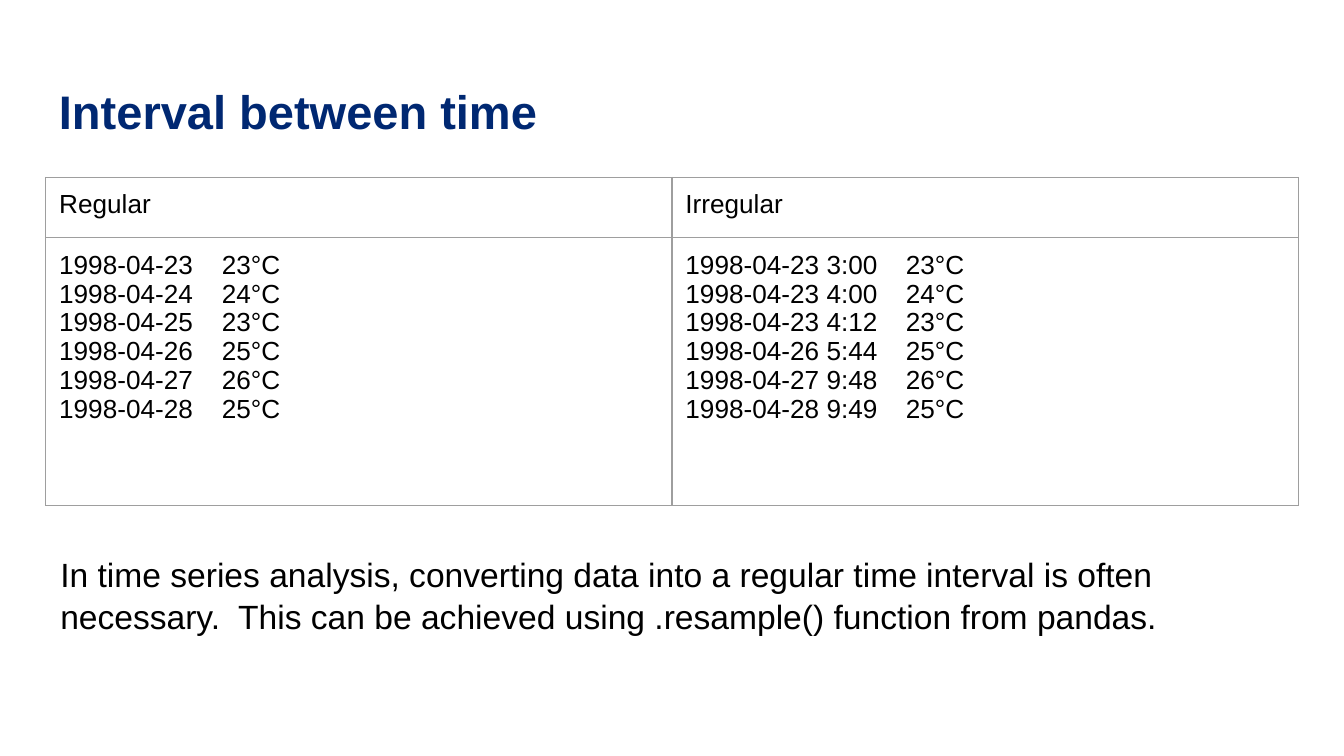
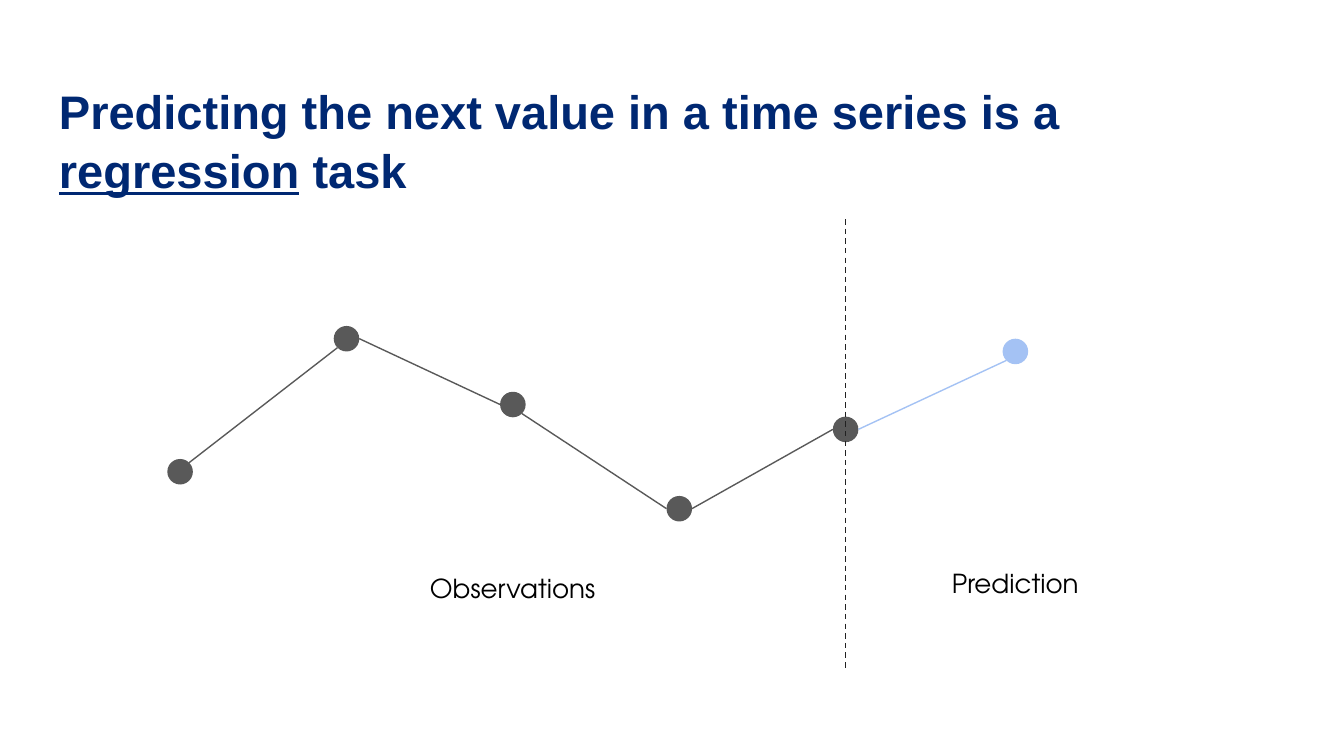
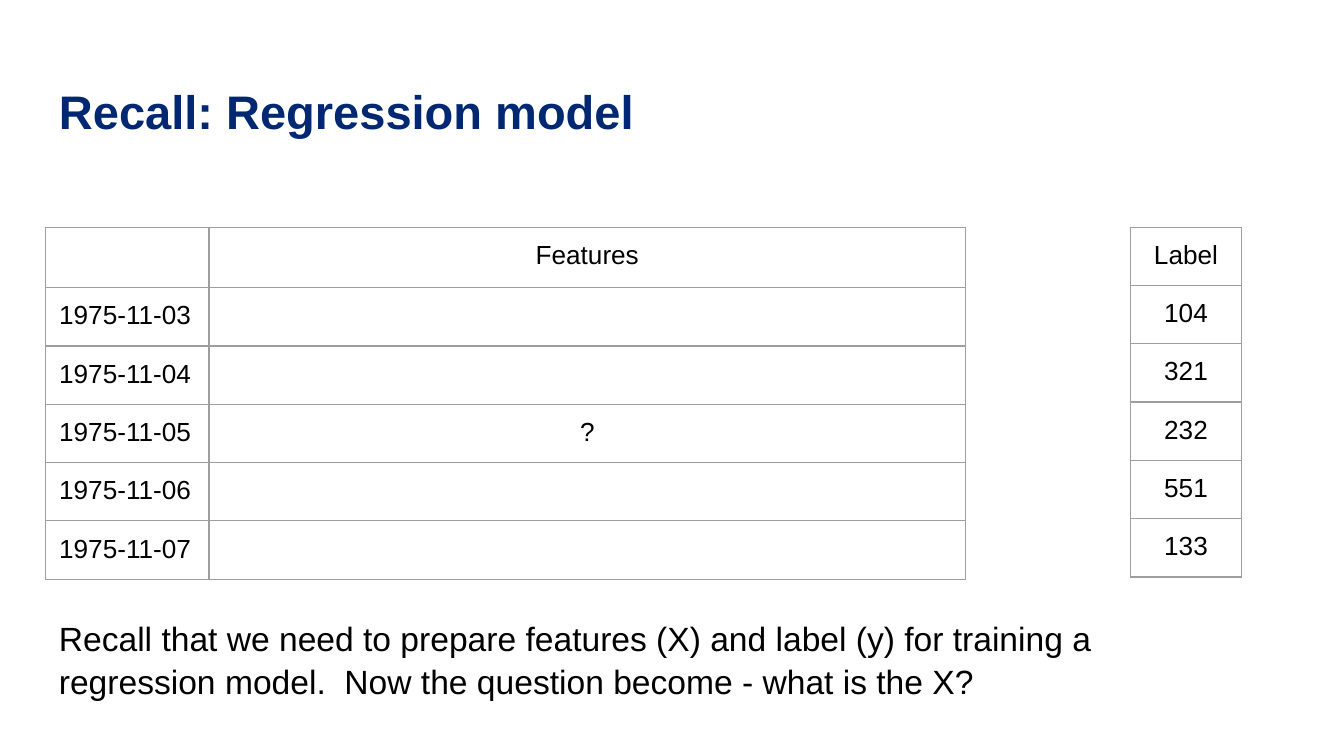
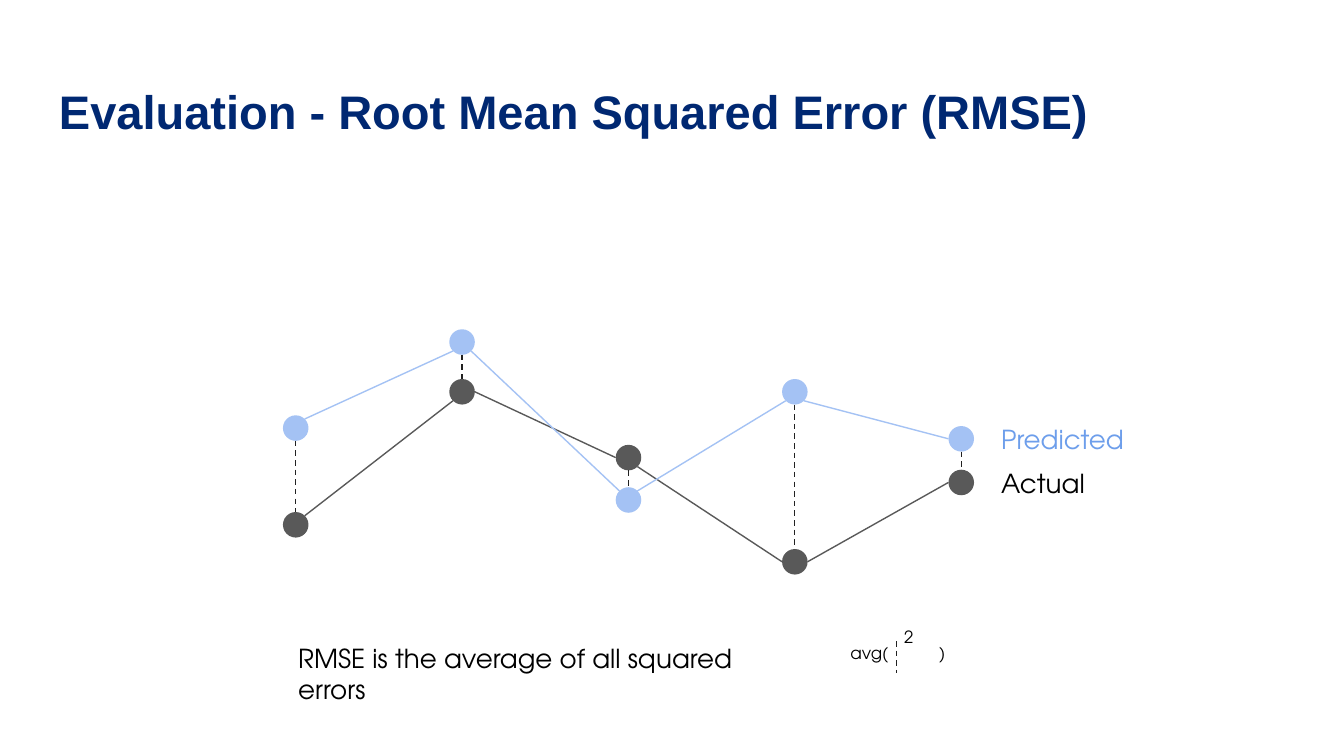
import math

from lxml import etree
from pptx import Presentation
from pptx import util as u
from pptx.dml.color import RGBColor
from pptx.enum import dml, shapes, text
from pptx.oxml import ns

# Slide grid: 100 columns, square cells of a tenth of an inch
COLS, ROWS = 100, 56.25
CELL = u.Inches(0.1)
PAD = 1
LEFT, FULL = 3.4, 93.2

NAVY = RGBColor(0x00, 0x28, 0x72)
BLACK = RGBColor(0x00, 0x00, 0x00)
GRAY = RGBColor(0x59, 0x59, 0x59)
DARK = RGBColor(0x21, 0x21, 0x21)
BLUE = RGBColor(0xA4, 0xC2, 0xF4)
BLUE_TEXT = RGBColor(0x6D, 0x9E, 0xEB)
BORDER = RGBColor(0x9E, 0x9E, 0x9E)

SANS, ROUND = "Arial", "TeX Gyre Adventor"
CENTER = text.PP_ALIGN.CENTER

# Time series: dot size, step between dots, shared levels of the observations
DOT, STEP = 1.9, 12.38
OBSERVED = [9.9, 0, 4.9, 12.65, 6.75]
# Angles at which a line meets a dot, clockwise from the right
E, SE, S, SW, W, NW, N, NE = range(0, 360, 45)
OBSERVED_JOINS = [(NE, SW), (E, W), (SE, W), (E, W)]


def grid(n):
    return u.Emu(round(n * CELL))


def sub(parent, tag, **attrs):
    return etree.SubElement(parent, ns.qn(tag), attrs)


def write(tf, content, size=14, font=SANS, color=BLACK, bold=False,
          align=None, spacing=None, tab=None, underline=None):
    """Fill a text frame, one paragraph a line."""
    for i, line in enumerate(content.split("\n")):
        p = tf.paragraphs[0] if i == 0 else tf.add_paragraph()
        p.alignment = align
        p.line_spacing = spacing
        if tab:
            tabs = sub(p._p.get_or_add_pPr(), "a:tabLst")
            sub(tabs, "a:tab", pos=str(grid(tab)), algn="l")
        if not line:
            sub(p._p, "a:endParaRPr", sz=str(size * 100))
        for part in line.partition(underline) if underline else [line]:
            if not part:
                continue
            r = p.add_run()
            r.text = part
            r.font.size, r.font.name, r.font.bold = u.Pt(size), font, bold
            r.font.color.rgb = color
            if part == underline:
                r.font.underline = True


def add_text(slide, box, content, **fmt):
    tf = slide.shapes.add_textbox(*map(grid, box)).text_frame
    tf.word_wrap = True
    tf.margin_left = tf.margin_right = grid(PAD)
    tf.margin_top = tf.margin_bottom = grid(PAD)
    write(tf, content, **fmt)


def add_title(slide, content, **fmt):
    add_text(slide, (LEFT, 4.9, FULL, 6.3), content, size=25.2, color=NAVY,
             bold=True, spacing=1.05, **fmt)


def add_body(slide, box, content):
    add_text(slide, box, content, size=18, spacing=1.06)


def add_label(slide, box, content, size=14, **fmt):
    add_text(slide, box, content, size=size, font=ROUND, **fmt)


def add_line(slide, start, end, color, dashed=False):
    line = slide.shapes.add_connector(shapes.MSO_CONNECTOR.STRAIGHT,
                                      *map(grid, (*start, *end)))
    line.line.color.rgb = color
    line.line.width = u.Pt(0.75)
    if dashed:
        line.line.dash_style = dml.MSO_LINE.DASH
    sub(line._element.spPr, "a:effectLst")


def add_dot(slide, dot, color):
    sp = slide.shapes.add_shape(shapes.MSO_SHAPE.OVAL,
                                *map(grid, (*dot, DOT, DOT)))
    sp.shadow.inherit = False
    sp.fill.solid()
    sp.fill.fore_color.rgb = color
    sp.line.fill.background()


def on_rim(dot, angle):
    """Point on the rim of a dot given by its left and top."""
    a = math.radians(angle)
    return (dot[0] + DOT / 2 * (1 + math.cos(a)),
            dot[1] + DOT / 2 * (1 + math.sin(a)))


def join_dots(slide, first, second, angles, color, dashed=False):
    add_line(slide, on_rim(first, angles[0]), on_rim(second, angles[1]),
             color, dashed)


def add_series(slide, left, top, levels, joins, color):
    """Draw dots at equal steps, joined in turn; return their corners."""
    dots = [(left + i * STEP, top + y) for i, y in enumerate(levels)]
    for dot in dots:
        add_dot(slide, dot, color)
    for first, second, angles in zip(dots, dots[1:], joins):
        join_dots(slide, first, second, angles, color)
    return dots


def set_borders(cell):
    tcPr = cell._tc.get_or_add_tcPr()
    for side in ("L", "R", "T", "B"):
        ln = sub(tcPr, f"a:ln{side}", w=str(u.Pt(0.75)))
        sub(sub(ln, "a:solidFill"), "a:srgbClr", val=str(BORDER))


def add_grid_table(slide, left, top, widths, heights, rows, formats):
    """Outlined table; formats holds the text format of each column."""
    table = slide.shapes.add_table(
        len(heights), len(widths),
        *map(grid, (left, top, sum(widths), sum(heights)))).table
    table.first_row = table.horz_banding = False
    for column, width in zip(table.columns, widths):
        column.width = grid(width)
    for row, height, values in zip(table.rows, heights, rows):
        row.height = grid(height)
        for cell, value, fmt in zip(row.cells, values, formats):
            cell.margin_left = cell.margin_right = grid(PAD)
            cell.margin_top = cell.margin_bottom = grid(PAD)
            set_borders(cell)
            cell.fill.background()
            write(cell.text_frame, value, **fmt)


def interval_slide(slide):
    add_title(slide, "Interval between time")
    degrees = [23, 24, 23, 25, 26, 25]
    regular = [f"1998-04-{day}" for day in range(23, 29)]
    irregular = ["1998-04-23 3:00", "1998-04-23 4:00", "1998-04-23 4:12",
                 "1998-04-26 5:44", "1998-04-27 9:48", "1998-04-28 9:49"]
    readings = ["\n".join(f"{t}\t{d}°C" for t, d in zip(times, degrees))
                for times in (regular, irregular)]
    add_grid_table(slide, LEFT, 13.2, [FULL / 2] * 2, [4.5, 19.9],
                   [["Regular", "Irregular"], readings],
                   [{"tab": 12.1, "spacing": 0.98},
                    {"tab": 16.4, "spacing": 0.98}])
    add_body(slide, (3.5, 40, FULL, 8.1),
             "In time series analysis, converting data into a regular time "
             "interval is often necessary.  This can be achieved using "
             ".resample() function from pandas.")


def prediction_slide(slide):
    add_title(slide, "Predicting the next value in a time series is a "
              "regression task", underline="regression")
    # Observations, then the predicted dot
    last = add_series(slide, 12.45, 24.25, OBSERVED, OBSERVED_JOINS, GRAY)[-1]
    predicted = (74.6, 25.2)
    add_dot(slide, predicted, BLUE)
    join_dots(slide, last, predicted, (E, SW), BLUE)
    # Labels either side of the present moment
    add_label(slide, (26.2, 41.6, 23.9, 4.4), "Observations", align=CENTER)
    add_label(slide, (63.6, 41.2, 23.9, 4.4), "Prediction", align=CENTER)
    now = last[0] + DOT / 2
    add_line(slide, (now, 16.3), (now, 49.8), DARK, dashed=True)


def regression_slide(slide):
    add_title(slide, "Recall: Regression model")
    top, centered = 16.9, {"align": CENTER}
    # Features by date, with the unknown in the middle row
    features = [["", "Features"]]
    features += [[f"1975-11-0{day}", "?" if day == 5 else ""]
                 for day in range(3, 8)]
    add_grid_table(slide, LEFT, top, [12.15, 56.3], [4.5] + [4.32] * 5,
                   features, [{}, centered])
    # Label column
    labels = ["Label", "104", "321", "232", "551", "133"]
    add_grid_table(slide, 84.1, top, [8.3], [4.19] * 6,
                   [[label] for label in labels], [centered])
    add_body(slide, (LEFT, 44.8, 89, 8.1),
             "Recall that we need to prepare features (X) and label (y) for "
             "training a regression model.  Now the question become - what "
             "is the X?")


def rmse_slide(slide):
    add_title(slide, "Evaluation - Root Mean Squared Error (RMSE)")
    left, top = 21.05, 28.2
    actual = add_series(slide, left, top, OBSERVED, OBSERVED_JOINS, GRAY)
    predicted = add_series(slide, left, top, [2.7, -3.7, 8.05, 0, 3.5],
                           [(NE, SW), (SE, NW), (NE, SW), (SE, W)], BLUE)
    # Error between each pair, from the upper dot to the lower
    for pair in zip(actual, predicted):
        upper, lower = sorted(pair, key=lambda dot: dot[1])
        join_dots(slide, upper, lower, (S, N), DARK, dashed=True)
    # Legend
    add_label(slide, (73.5, 33.8, 23.9, 4.4), "Actual")
    add_label(slide, (73.5, 30.5, 23.9, 4.4), "Predicted", color=BLUE_TEXT)
    # Formula
    add_label(slide, (21.2, 46.8, 37.9, 6.7),
              "RMSE is the average of all squared errors")
    add_line(slide, (66.7, 47.7), (66.7, 50.1), DARK, dashed=True)
    add_label(slide, (66.3, 45.9, 2.7, 3.5), "2", size=9)
    add_label(slide, (62.3, 47.1, 9.6, 3.5), "avg(\t)", size=9, tab=6.6)


def main():
    prs = Presentation()
    prs.slide_width, prs.slide_height = grid(COLS), grid(ROWS)
    blank = prs.slide_layouts[6]
    for build in (interval_slide, prediction_slide, regression_slide,
                  rmse_slide):
        build(prs.slides.add_slide(blank))
    prs.save("out.pptx")


if __name__ == "__main__":
    main()
